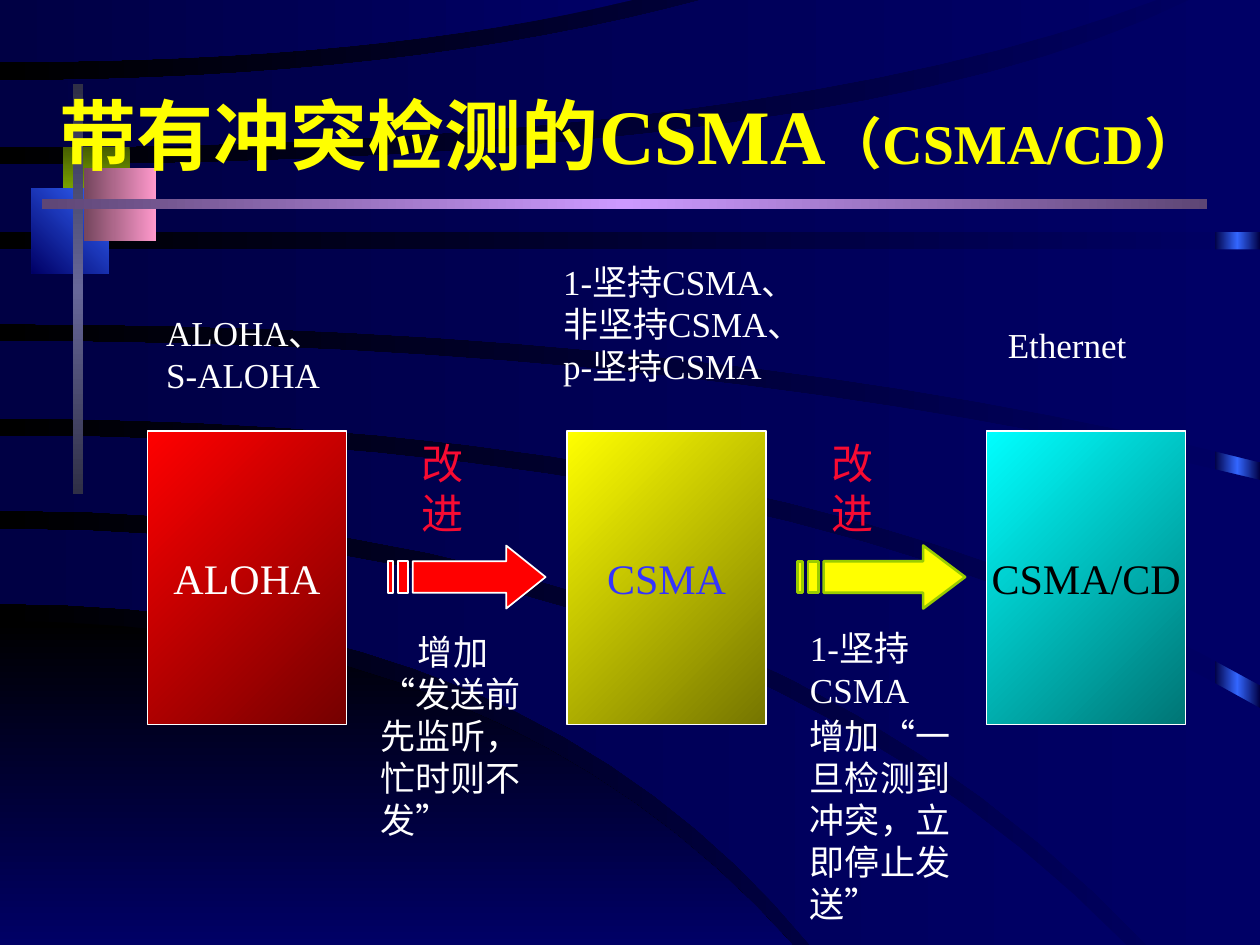
import copy

import pptx
import pptx.util
from pptx.dml.color import RGBColor
from pptx.enum.shapes import MSO_SHAPE
from pptx.enum.text import MSO_ANCHOR, MSO_AUTO_SIZE, PP_ALIGN

FONT = "Times New Roman"
WHITE = RGBColor.from_string("FFFFFF")
BLACK = RGBColor.from_string("000000")
NAVY = RGBColor.from_string("000066")
DARK_NAVY = RGBColor.from_string("000044")
BLUE = RGBColor.from_string("3366FF")
INDIGO = RGBColor.from_string("3333FF")
YELLOW = RGBColor.from_string("FFFF00")
OLIVE = RGBColor.from_string("757500")
RED = RGBColor.from_string("FF0000")
MAROON = RGBColor.from_string("750000")
CYAN = RGBColor.from_string("00FFFF")
TEAL = RGBColor.from_string("007575")
CRIMSON = RGBColor.from_string("F70B32")
LIME = RGBColor.from_string("99CC00")
MOSS = RGBColor.from_string("465E00")
PINK = RGBColor.from_string("FF99CC")
PLUM = RGBColor.from_string("75465E")
SLATE = RGBColor.from_string("666699")
DARK_SLATE = RGBColor.from_string("2F2F46")
LILAC = RGBColor.from_string("CC99FF")
PURPLE = RGBColor.from_string("5E4675")

# All places are counted in grid units of 2.54 cm
UNIT = 2.54

# Background: strip at the right edge, then bands between two sweeping edges.
# An edge leaves the left side level: start y, bend x, end x, end y
STRIP = ((9.64, 0, 0.36, 7.5), (DARK_NAVY, BLUE, DARK_NAVY), 180)
BANDS = [
    ((4.93, 4, 6.29, 7.5), (7.5, 3, 6.29, 7.5)),
    ((4.2, 5.7, 8.94, 7.5), (4.79, 4.2, 6.43, 7.5)),
    ((3.46, 6.3, 10, 5.62), (4.05, 5.85, 9.1, 7.5)),
    ((2.71, 5.55, 10, 3.81), (3.32, 6.3, 10, 5.44)),
    ((1.98, 5, 10, 1.98), (2.57, 5.7, 10, 3.67)),
    ((1.31, 6.8, 9.44, 0), (1.84, 5, 10, 1.84)),
    ((0.64, 3.2, 5.57, 0), (1.17, 6.1, 9.18, 0)),
    ((0, 2.5, 5.02, 0), (0.49, 3, 5.02, 0)),
]
EDGE_STEPS = 16

# Ornament around the title: place, colours, angle
ORNAMENT = [
    ((0.5, 1.17, 0.53, 0.52), (MOSS, LIME), 90),
    ((0.25, 1.5, 0.61, 0.67), (BLUE, NAVY), 135),
    ((0.67, 1.33, 0.57, 0.58), (PINK, PLUM), 180),
    ((0.58, 0.67, 0.08, 3.25), (DARK_SLATE, SLATE, DARK_SLATE), 90),
    ((0.33, 1.58, 9.25, 0.08), (PURPLE, LILAC, PURPLE), 180),
]

TITLE = [("带有冲突检测的CSMA", 44), ("（CSMA/CD）", 32)]

# Protocol blocks: name, dark colour, bright colour, text colour
BLOCKS = [
    ("ALOHA", MAROON, RED, WHITE),
    ("CSMA", OLIVE, YELLOW, INDIGO),
    ("CSMA/CD", TEAL, CYAN, BLACK),
]
BLOCK_LEFT, BLOCK_STEP = 1.17, 3.33

# Arrows: left, width, fill, line colour, line width
ARROWS = [(3.08, 1.25, RED, WHITE, 1), (6.33, 1.33, YELLOW, LIME, 1.5)]

# Labels: place, wrap, size, colour, lines, paragraph formats by line number
LABELS = [
    ((2.92, 4.92, 1.5, 1.84), True, 20, WHITE, ["增加", "“发送前先监听，忙时则不发”"],
     {0: {"line_spacing": 1.1}}),
    ((3.25, 3.42, 0.86, 0.5), False, 24, CRIMSON, ["改进"], {}),
    ((6.5, 3.42, 0.86, 0.5), False, 24, CRIMSON, ["改进"], {}),
    ((6.33, 4.92, 1.5, 2.47), True, 20, WHITE,
     ["1-坚持CSMA", "增加“一旦检测到冲突，立即停止发送”"],
     {1: {"space_before": pptx.util.Pt(2.5)}}),
    ((1.22, 2.42, 1.52, 0.77), False, 20, WHITE, ["ALOHA、", "S-ALOHA"], {}),
    ((4.37, 2.02, 2.39, 1.1), True, 20, WHITE,
     ["1-坚持CSMA、", "非坚持CSMA、", "p-坚持CSMA"], {}),
    ((7.9, 2.52, 1.14, 0.44), False, 20, WHITE, ["Ethernet"], {}),
]


def grid(*values):
    return [pptx.util.Cm(value * UNIT) for value in values]


def set_all(target, **formats):
    for name, value in formats.items():
        setattr(target, name, value)


def set_font(font, size, color, bold=False):
    set_all(font, name=FONT, size=pptx.util.Pt(size), bold=bold)
    font.color.rgb = color


def shade(fill, colors, angle):
    """Fill with evenly spaced colours; the angle runs clockwise."""
    fill.gradient()
    fill.gradient_angle = -angle % 360
    stop = fill.gradient_stops[0]._gs
    for _ in colors[2:]:
        stop.addnext(copy.deepcopy(stop))
    for number, (stop, color) in enumerate(zip(fill.gradient_stops, colors)):
        stop.position = number / (len(colors) - 1)
        stop.color.rgb = color


def add_block(page, place, colors, angle):
    block = page.shapes.add_shape(MSO_SHAPE.RECTANGLE, *grid(*place))
    block.shadow.inherit = False
    block.line.fill.background()
    shade(block.fill, colors, angle)
    return block


def add_outline(page, contours):
    builder = None
    for start, *rest in contours:
        if builder is None:
            builder = page.shapes.build_freeform(*grid(*start))
        else:
            builder.move_to(*grid(*start))
        builder.add_line_segments([grid(*point) for point in rest], close=True)
    outline = builder.convert_to_shape()
    outline.shadow.inherit = False
    return outline


def sweep(start_y, bend_x, end_x, end_y):
    """Points of a quadratic curve that starts level at the left side."""
    shares = [step / EDGE_STEPS for step in range(EDGE_STEPS + 1)]
    return [(2 * t * (1 - t) * bend_x + t * t * end_x,
             start_y + t * t * (end_y - start_y)) for t in shares]


def band_points(upper, lower):
    rising = upper[3] < upper[0]
    corner_y = (min if rising else max)(upper[3], lower[3])
    corner = (max(upper[2], lower[2]), corner_y)
    return [*sweep(*upper), corner, *reversed(sweep(*lower))]


def set_line(shape, color, width):
    shape.line.color.rgb = color
    shape.line.width = pptx.util.Pt(width)


deck = pptx.Presentation()
deck.slide_width, deck.slide_height = grid(10, 7.5)
page = deck.slides.add_slide(deck.slide_layouts[5])

# Background and ornament
shade(page.background.fill, (NAVY, BLACK), 180)
add_block(page, *STRIP)
for number, edges in enumerate(BANDS):
    band = add_outline(page, [band_points(*edges)])
    band.line.fill.background()
    if number == 0:
        shade(band.fill, (BLACK, NAVY), 90)
    else:
        shade(band.fill, (NAVY, DARK_NAVY), 180)
for part in ORNAMENT:
    add_block(page, *part)

# Title, brought in front of the ornament
title = page.shapes.title
page.shapes._spTree.append(title._element)
title.left, title.top, title.width, title.height = grid(0, 0.44, 10, 1.25)
set_all(title.text_frame, vertical_anchor=MSO_ANCHOR.MIDDLE, word_wrap=True,
        auto_size=MSO_AUTO_SIZE.NONE)
para = title.text_frame.paragraphs[0]
para.alignment = PP_ALIGN.CENTER
for text, size in TITLE:
    span = para.add_run()
    span.text = text
    set_font(span.font, size, YELLOW, bold=True)

# Protocol blocks
for number, (name, dark, bright, color) in enumerate(BLOCKS):
    left = BLOCK_LEFT + number * BLOCK_STEP
    block = add_block(page, (left, 3.42, 1.58, 2.33), (dark, bright), 225)
    set_line(block, WHITE, 1)
    set_all(block.text_frame, word_wrap=False, vertical_anchor=MSO_ANCHOR.MIDDLE)
    para = block.text_frame.paragraphs[0]
    set_all(para, text=name, alignment=PP_ALIGN.CENTER)
    set_font(para.font, 24, color)

# Striped arrows, in shares of width and height
TAIL, NECK, HIGH, LOW = 5 / 32, 3 / 4, 1 / 4, 3 / 4
BODY = [(TAIL, HIGH), (NECK, HIGH), (NECK, 0), (1, 1 / 2), (NECK, 1), (NECK, LOW), (TAIL, LOW)]
STRIPES = [[(a, HIGH), (b, HIGH), (b, LOW), (a, LOW)]
           for a, b in ((0, 1 / 32), (1 / 16, 1 / 8))]
for left, width, color, edge, weight in ARROWS:
    arrow = add_outline(page, [[(left + x * width, 4.33 + y * 0.5) for x, y in contour]
                               for contour in [BODY, *STRIPES]])
    arrow.fill.solid()
    arrow.fill.fore_color.rgb = color
    set_line(arrow, edge, weight)

# Labels
for place, wrap, size, color, lines, formats in LABELS:
    box = page.shapes.add_textbox(*grid(*place))
    set_all(box.text_frame, text="\n".join(lines), word_wrap=wrap,
            auto_size=MSO_AUTO_SIZE.SHAPE_TO_FIT_TEXT)
    for number, para in enumerate(box.text_frame.paragraphs):
        if para.text == "增加":
            para._p.get_or_add_pPr().set("indent", str(pptx.util.Cm(0.76)))
        set_all(para, **formats.get(number, {}))
        set_font(para.font, size, color)

deck.save("out.pptx")
